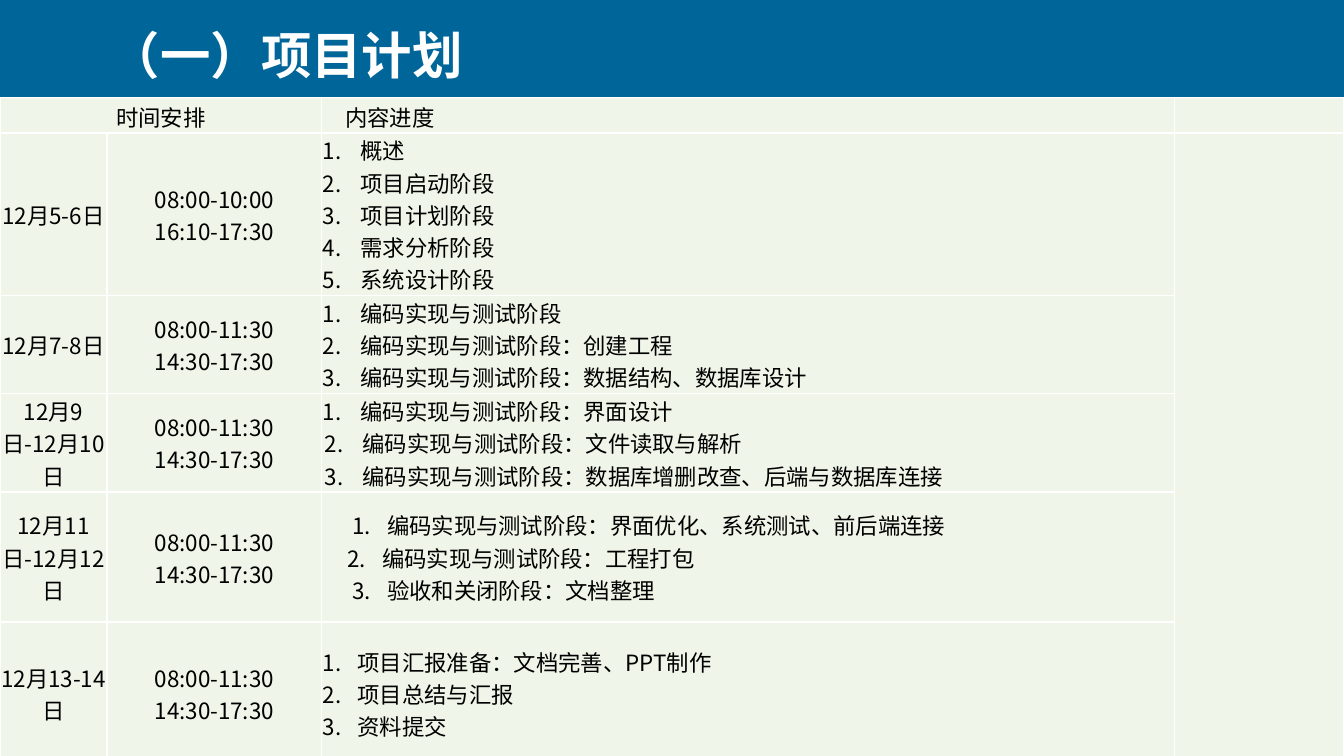
from pptx import Presentation
from pptx.dml.color import RGBColor
from pptx.enum.shapes import MSO_SHAPE as Shape
from pptx.enum.text import MSO_ANCHOR as Anchor, PP_ALIGN as Align
from pptx.oxml.ns import qn
from pptx.util import Pt
from lxml.etree import SubElement

STAGE = "编码实现与测试阶段"
HOURS = "08:00-11:30\n14:30-17:30"
COLUMN_WIDTHS = [76.4, 153.4, 609.1, 121]
ROW_HEIGHTS = [25.2, 112.3, 67.7, 70.6, 92.9, 101.5]
PLAN = [
    ("12月5-6日", "08:00-10:00\n16:10-17:30",
     ["概述", "项目启动阶段", "项目计划阶段", "需求分析阶段", "系统设计阶段"], [27], 27),
    ("12月7-8日", HOURS,
     [STAGE, f"{STAGE}：创建工程", f"{STAGE}：数据结构、数据库设计"], [27], 27),
    ("12月9日-12月10日", HOURS,
     [f"{STAGE}：界面设计", f"{STAGE}：文件读取与解析",
      f"{STAGE}：数据库增删改查、后端与数据库连接"], [27, 28.5, 28.5], 27),
    ("12月11日-12月12日", HOURS,
     [f"{STAGE}：界面优化、系统测试、前后端连接", f"{STAGE}：工程打包",
      "验收和关闭阶段：文档整理"], [46, 42.5, 46], 25),
    ("12月13-14日", HOURS,
     ["项目汇报准备：文档完善、PPT制作", "项目总结与汇报", "资料提交"], [25], 25),
]


def color(value):
    return RGBColor.from_string(value)


class PlanSlide:
    font = "Noto Sans CJK SC"
    blue, pale, white, black = "006699", "EFF5E8", "FFFFFF", "000000"

    def __init__(self, deck):
        self.slide = deck.slides.add_slide(deck.slide_layouts[5])

    def style(self, paragraph, size, ink, bold=False):
        for run in paragraph.runs:
            run.font.name = self.font
            run.font.size = Pt(size)
            run.font.bold = bold
            run.font.color.rgb = color(ink)
            SubElement(run.font._element, qn("a:ea"), typeface=self.font)

    def band(self, width, height):
        band = self.slide.shapes.add_shape(Shape.RECTANGLE, 0, 0, Pt(width), Pt(height))
        band.shadow.inherit = False
        band.fill.solid()
        band.fill.fore_color.rgb = color(self.blue)
        band.line.fill.background()
        self.slide.shapes._spTree.insert(2, band._element)

    def title(self, text, left, top, width, height):
        title = self.slide.shapes.title
        title.left, title.top, title.width, title.height = map(Pt, (left, top, width, height))
        title.text_frame.text = text
        title.text_frame.vertical_anchor = Anchor.MIDDLE
        heading = title.text_frame.paragraphs[0]
        heading.alignment = Align.LEFT
        self.style(heading, 36, self.white, True)

    def table(self, top, widths, heights):
        table = self.slide.shapes.add_table(
            len(heights), len(widths), 0, Pt(top), Pt(sum(widths)), Pt(sum(heights))).table
        table.first_row = table.horz_banding = False
        for column, width in zip(table.columns, widths):
            column.width = Pt(width)
        for row, height in zip(table.rows, heights):
            row.height = Pt(height)
        for cell in table.iter_cells():
            self.plain_cell(cell)
        return table

    def plain_cell(self, cell):
        cell.margin_left = cell.margin_right = cell.margin_top = Pt(0.72)
        cell.margin_bottom = 0
        properties = cell._tc.get_or_add_tcPr()
        for side in ("lnL", "lnR", "lnT", "lnB"):
            border = SubElement(properties, qn(f"a:{side}"), w=str(Pt(1)))
            fill = SubElement(border, qn("a:solidFill"))
            SubElement(fill, qn("a:srgbClr"), val=self.white)
        cell.fill.solid()
        cell.fill.fore_color.rgb = color(self.pale)

    def cell_text(self, cell, text, align=Align.CENTER, anchor=Anchor.MIDDLE):
        cell.text_frame.text = text
        cell.vertical_anchor = anchor
        for paragraph in cell.text_frame.paragraphs:
            paragraph.alignment = align
            self.style(paragraph, 16, self.black)

    def numbered(self, cell, items, indents, hanging):
        self.cell_text(cell, "\n".join(items), Align.JUSTIFY)
        for index, paragraph in enumerate(cell.text_frame.paragraphs):
            properties = paragraph._p.get_or_add_pPr()
            properties.set("marL", str(Pt(indents[index % len(indents)])))
            properties.set("indent", str(-Pt(hanging)))
            SubElement(properties, qn("a:buFont"), typeface=self.font)
            SubElement(properties, qn("a:buAutoNum"), type="arabicPeriod")


def main():
    deck = Presentation()
    deck.slide_width, deck.slide_height = Pt(960), Pt(540)
    page = PlanSlide(deck)
    page.band(960, 72)
    page.title("（一）项目计划", 71.3, 13, 466.6, 51)

    schedule = page.table(69.8, COLUMN_WIDTHS, ROW_HEIGHTS)
    schedule.cell(0, 0).merge(schedule.cell(0, 1))
    schedule.cell(1, 3).merge(schedule.cell(len(PLAN), 3))
    page.cell_text(schedule.cell(0, 0), "时间安排", anchor=Anchor.BOTTOM)
    progress = schedule.cell(0, 2)
    page.cell_text(progress, "内容进度", Align.JUSTIFY, Anchor.BOTTOM)
    progress.margin_left = Pt(16.7)

    for row, (dates, hours, tasks, indents, hanging) in enumerate(PLAN, 1):
        page.cell_text(schedule.cell(row, 0), dates)
        page.cell_text(schedule.cell(row, 1), hours)
        page.numbered(schedule.cell(row, 2), tasks, indents, hanging)
    deck.save("out.pptx")


if __name__ == "__main__":
    main()
